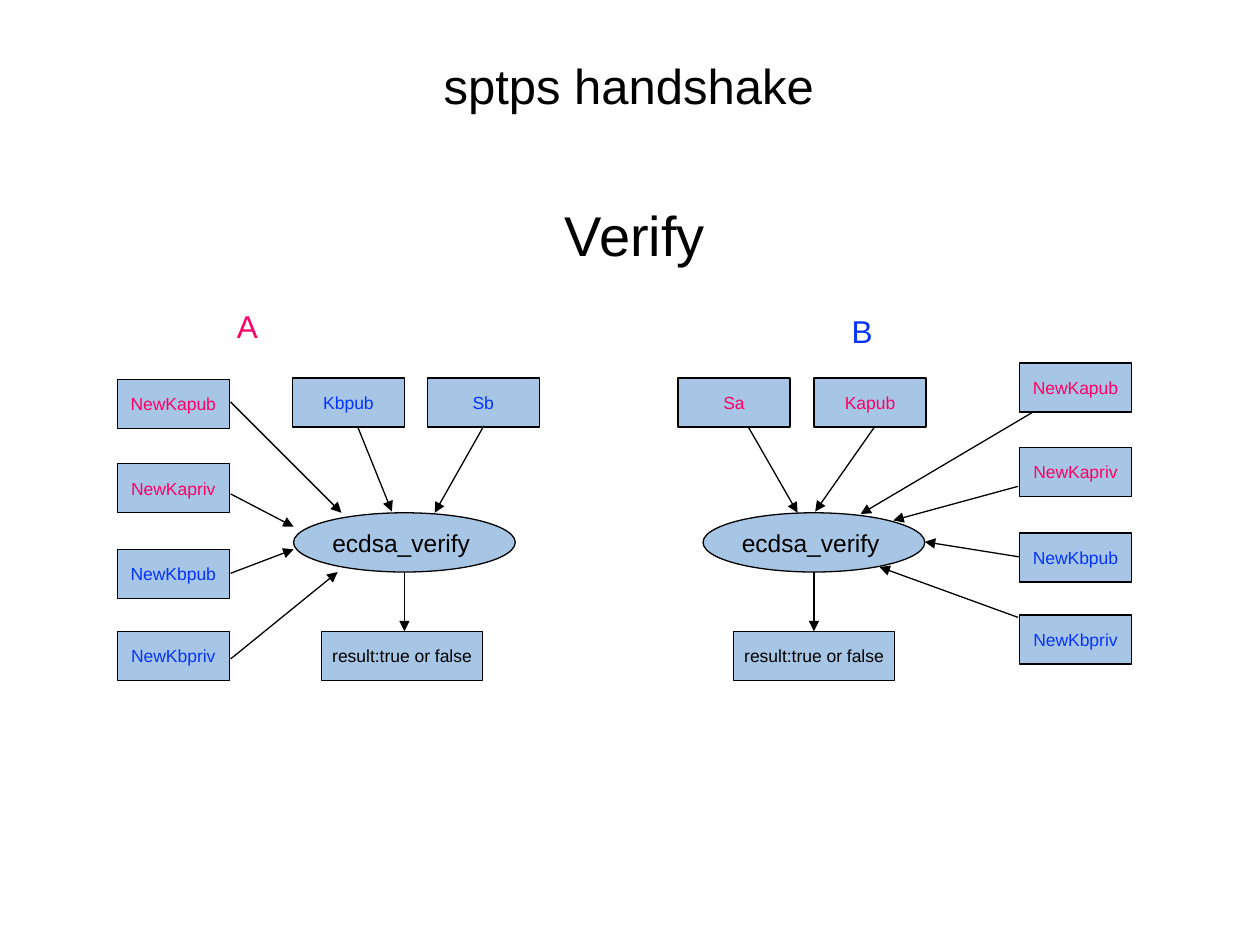
from dataclasses import dataclass
from pptx import Presentation
from pptx.dml.color import RGBColor
from pptx.enum.shapes import MSO_CONNECTOR, MSO_SHAPE
from pptx.enum.text import MSO_ANCHOR, PP_ALIGN
from pptx.oxml.ns import qn
from pptx.util import Inches, Pt
from lxml import etree

RECTANGLE, OVAL = MSO_SHAPE.RECTANGLE, MSO_SHAPE.OVAL
STRAIGHT = MSO_CONNECTOR.STRAIGHT
TOP, MIDDLE = MSO_ANCHOR.TOP, MSO_ANCHOR.MIDDLE
LEFT, CENTER = PP_ALIGN.LEFT, PP_ALIGN.CENTER


@dataclass(frozen=True)
class Theme:
    font: str = "Arial"
    black: RGBColor = RGBColor(0, 0, 0)
    pink: RGBColor = RGBColor(0xFF, 0x00, 0x66)
    blue: RGBColor = RGBColor(0x04, 0x33, 0xFF)
    box: RGBColor = RGBColor(0xA7, 0xC6, 0xE5)
    line: float = 0.75
    title: int = 28
    subtitle: int = 32
    party: int = 18
    function: int = 14
    label: int = 10


theme = Theme()
presentation = Presentation()
presentation.slide_width, presentation.slide_height = Inches(10), Inches(7.5)
slide = presentation.slides.add_slide(presentation.slide_layouts[6])


def write(shape, text, size, color, align, anchor, wrap):
    frame = shape.text_frame
    frame.word_wrap = wrap
    frame.vertical_anchor = anchor
    frame.margin_left = frame.margin_right = Inches(0.05)
    frame.margin_top = frame.margin_bottom = Inches(0.05)
    paragraph = frame.paragraphs[0]
    paragraph.alignment = align
    run = paragraph.add_run()
    run.text = text
    run.font.name, run.font.size = theme.font, Pt(size)
    run.font.color.rgb = color
    return frame


def add_node(kind, left, top, width, height, text, size, color):
    shape = slide.shapes.add_shape(
        kind, Inches(left), Inches(top), Inches(width), Inches(height))
    shape.shadow.inherit = False
    shape.fill.solid()
    shape.fill.fore_color.rgb = theme.box
    shape.line.color.rgb = theme.black
    shape.line.width = Pt(theme.line)
    return write(shape, text, size, color, CENTER, MIDDLE, False)


headings = [
    ("sptps handshake", 0.74, 0.41, 8.5, 0.53, theme.title, theme.black, CENTER, MIDDLE, 0),
    ("Verify", 1.54, 1.54, 7, 0.6, theme.subtitle, theme.black, CENTER, TOP, 7),
    ("A", 1.83, 2.39, 1.14, 0.38, theme.party, theme.pink, LEFT, TOP, 0),
    ("B", 6.71, 2.43, 1.14, 0.38, theme.party, theme.blue, LEFT, TOP, 0),
]
for text, left, top, width, height, size, color, align, anchor, before in headings:
    box = slide.shapes.add_textbox(Inches(left), Inches(top), Inches(width), Inches(height))
    frame = write(box, text, size, color, align, anchor, True)
    frame.paragraphs[0].space_before = Pt(before)

key_width, row_height = 0.89, 0.39
input_top, function_top, result_top = 3, 4.07, 5.01
function_width, function_height, result_width = 1.76, 0.47, 1.28

new_keys = [("NewKapub", theme.pink, 0), ("NewKapriv", theme.pink, 0.67),
            ("NewKbpub", theme.blue, 1.35), ("NewKbpriv", theme.blue, 2)]
sides = [
    (0.93, 3.01, 2.33, 2.55, theme.blue, [("Kbpub", 2.32), ("Sb", 3.39)]),
    (8.09, 2.88, 5.58, 5.82, theme.pink, [("Sa", 5.38), ("Kapub", 6.46)]),
]
arrows = [
    (1.83, 3.19, 2.71, 4.07), (1.83, 3.92, 2.33, 4.18),
    (1.83, 4.55, 2.33, 4.36), (1.83, 5.23, 2.68, 4.54),
    (2.84, 3.39, 3.11, 4.06), (3.84, 3.38, 3.45, 4.07),
    (8.2, 3.27, 6.83, 4.08), (8.08, 3.86, 7.09, 4.13),
    (8.09, 4.42, 7.34, 4.3), (8.08, 4.9, 6.98, 4.5),
    (5.94, 3.39, 6.33, 4.07), (6.94, 3.39, 6.47, 4.06),
]

for keys_left, keys_top, function_left, result_left, input_color, inputs in sides:
    for name, color, offset in new_keys:
        add_node(RECTANGLE, keys_left, keys_top + offset, key_width, row_height,
                 name, theme.label, color)
    for name, left in inputs:
        add_node(RECTANGLE, left, input_top, key_width, row_height,
                 name, theme.label, input_color)
    frame = add_node(OVAL, function_left, function_top, function_width, function_height,
                     "ecdsa_verify", theme.function, theme.black)
    frame.margin_left = 0
    add_node(RECTANGLE, result_left, result_top, result_width, row_height,
             "result:true or false", theme.label, theme.black)
    middle = function_left + function_width / 2
    arrows.append((middle, function_top + function_height, middle, result_top))

for ends in arrows:
    arrow = slide.shapes.add_connector(STRAIGHT, *[Inches(value) for value in ends])
    arrow.line.color.rgb = theme.black
    arrow.line.width = Pt(theme.line)
    etree.SubElement(arrow.line._get_or_add_ln(), qn("a:tailEnd"), type="triangle")
    etree.SubElement(arrow._element.spPr, qn("a:effectLst"))

presentation.save("out.pptx")
